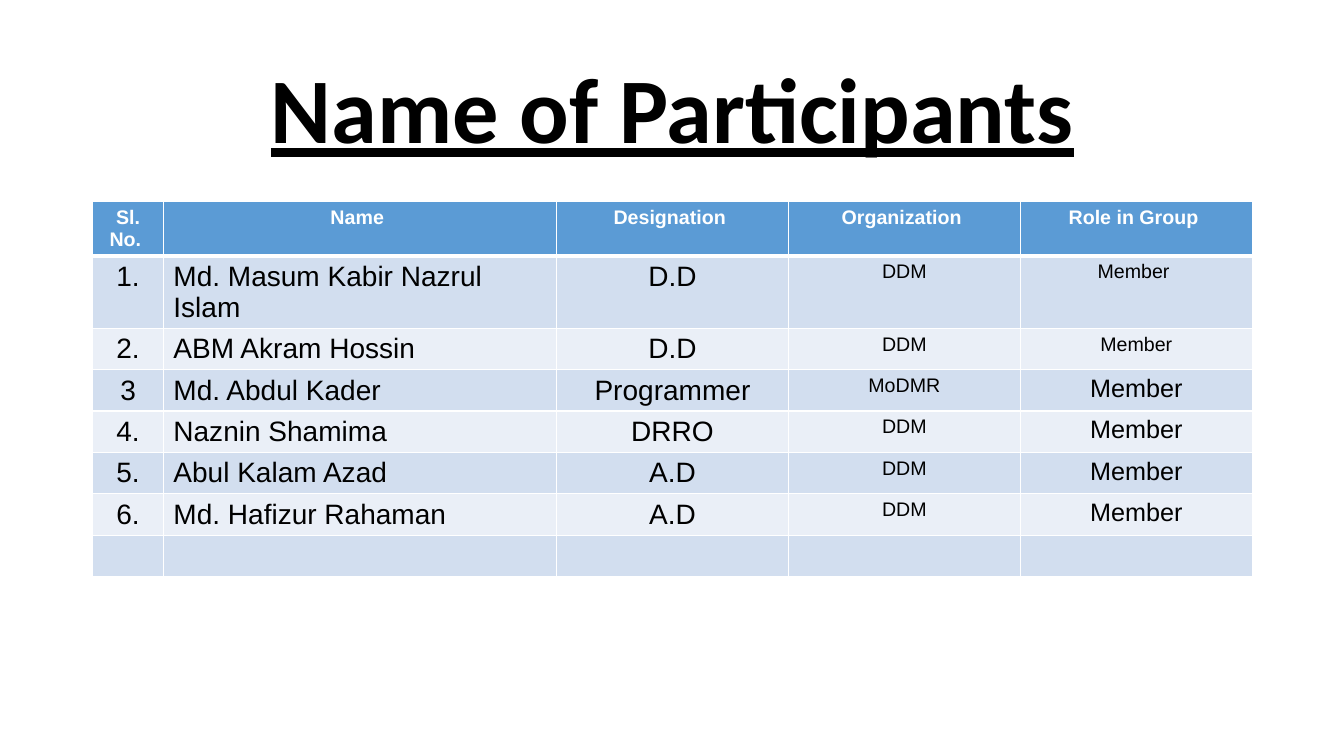
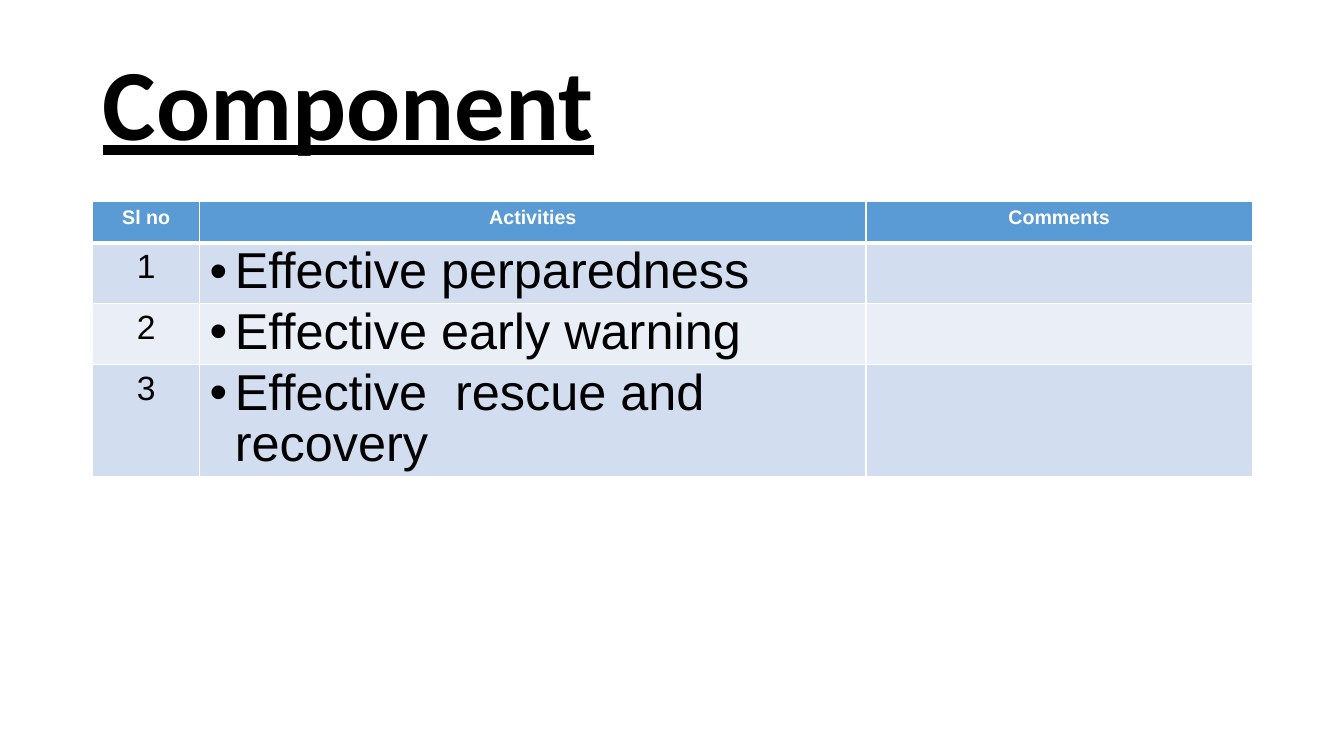
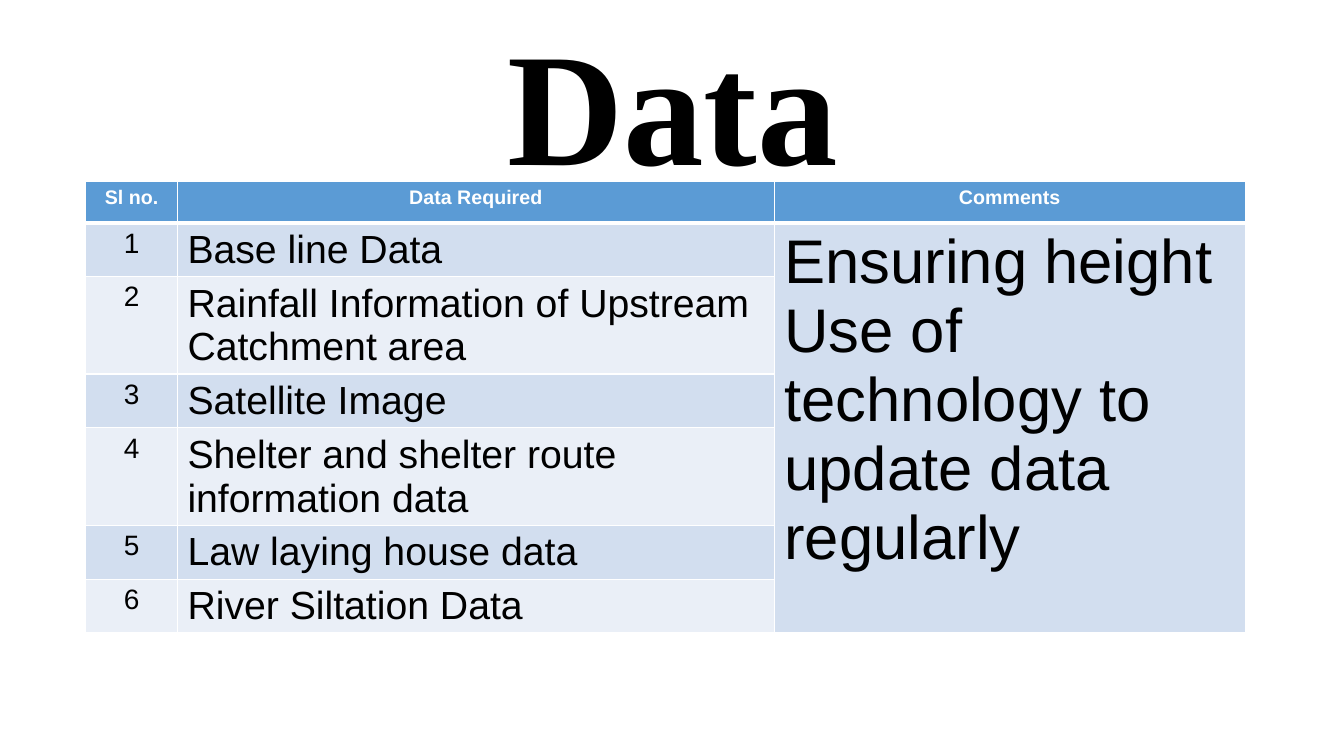
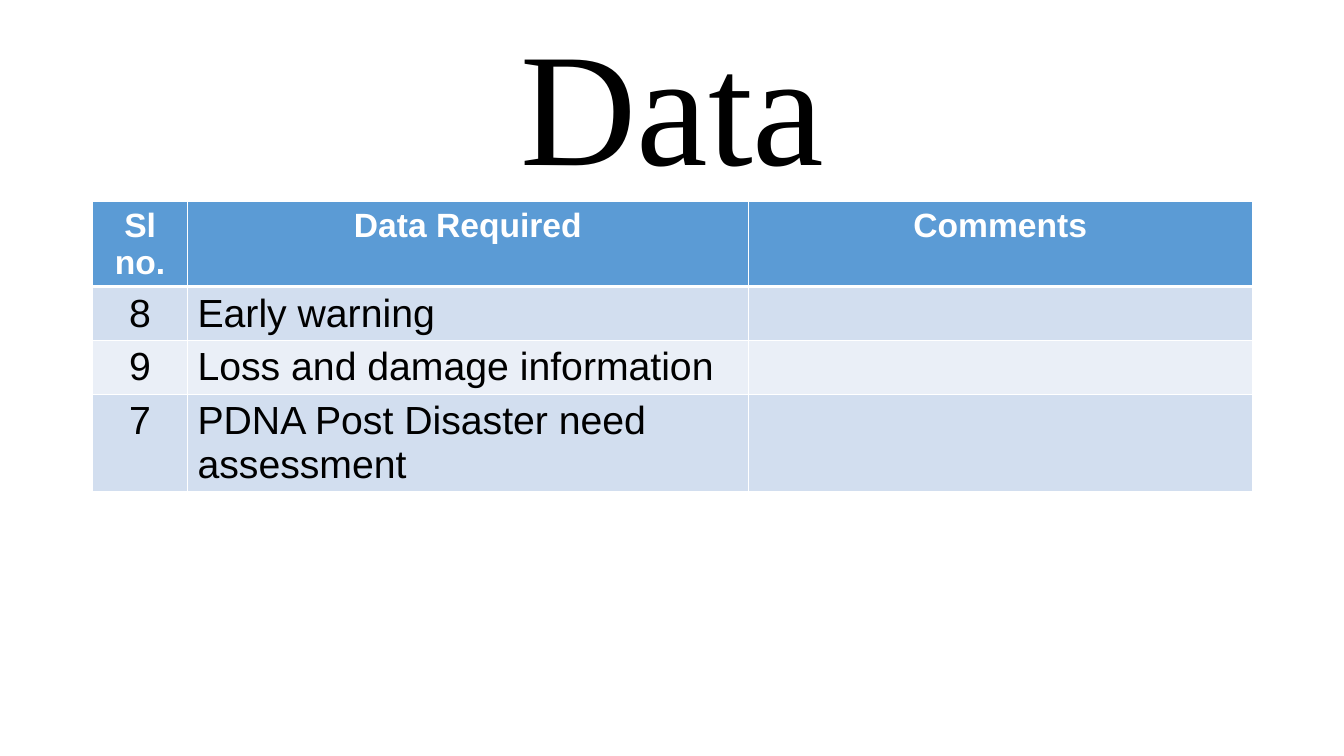
"""Build four slides, each a title above a table."""
import pptx
import pptx.util
import pptx.dml.color
import pptx.enum.text
import pptx.oxml
import pptx.oxml.ns

Inch, Pt = pptx.util.Inches, pptx.util.Pt
Align = pptx.enum.text.PP_ALIGN
COLORS = {"head": "5B9BD5", "odd": "D2DEEF", "even": "EAEFF7", "white": "FFFFFF", "text": "000000"}
FONT = "Arial"
LEFT, WIDE, ROW = 0.92, 11.5, 0.41

SLIDES = [
    {
        "title": "Name of Participants", "size": 66, "font": "Calibri", "bold": True, "line": True,
        "cols": [0.7, 3.9, 2.3, 2.3, 2.3], "sizes": [20, 20, 20, 14, 18], "center": [0, 2, 3, 4],
        "head": ["Sl. No. ", "Name ", "Designation ", "Organization ", "Role in Group "],
        "rows": [
            ["1.", "Md. Masum Kabir Nazrul Islam", "D.D", "DDM", ("Member ", 14)],
            ["2.", "ABM Akram Hossin", "D.D", "DDM", ("Member", 14)],
            ["3", "Md. Abdul Kader", "Programmer", "MoDMR", "Member"],
            ["4.", "Naznin Shamima", "DRRO", "DDM", "Member"],
            ["5.", "Abul Kalam Azad", "A.D", "DDM", "Member"],
            ["6.", "Md. Hafizur Rahaman", "A.D", "DDM", "Member"],
            [""] * 5,
        ],
    },
    {
        "title": "Component", "size": 72, "font": "Calibri", "bold": True, "line": True,
        "align": Align.LEFT, "rise": 0.34,
        "cols": [1.06, 6.61, 3.83], "sizes": [24, 36, 18], "bullet": 1,
        "head": ["Sl no", "Activities", "Comments"],
        "rows": [
            ["1", "Effective perparedness", ""],
            ["2", "Effective early warning", ""],
            ["3", "Effective  rescue and recovery", ""],
        ],
    },
    {
        "title": "Data", "size": 115, "font": "Times New Roman", "bold": True,
        "at": (0.85, 1.8), "cols": [0.91, 5.92, 4.67], "sizes": [20, 28, 44], "span": 2,
        "head": ["Sl no.", "Data Required", "Comments"],
        "rows": [
            ["1", "Base line Data", "Ensuring height Use of technology to update data regularly"],
            ["2", "Rainfall Information of Upstream Catchment area", ""],
            ["3", "Satellite Image", ""],
            ["4", "Shelter and shelter route information data", ""],
            ["5", "Law laying house data", ""],
            ["6", "River Siltation Data", ""],
        ],
    },
    {
        "title": "Data", "size": 115, "font": "Times New Roman", "bold": False,
        "cols": [0.94, 5.56, 5], "sizes": [28, 28, 18], "top": 24,
        "head": ["Sl no.", "Data Required", "Comments"],
        "rows": [
            ["8", "Early warning", ""],
            ["9", "Loss and damage information", ""],
            ["7", "PDNA Post Disaster need assessment", ""],
        ],
    },
]


def paint(name):
    return pptx.dml.color.RGBColor.from_string(COLORS[name])


def write(para, text, size, font, color, bold):
    run = para.add_run()
    run.text = text
    run.font.size, run.font.name, run.font.bold = Pt(size), font, bold
    run.font.color.rgb = paint(color)
    return run


def add_title(slide, data):
    shape = slide.shapes.title
    shape.left, shape.top = Inch(LEFT), Inch(data.get("rise", 0.4))
    shape.width, shape.height = Inch(WIDE), Inch(1.45)
    frame = shape.text_frame
    frame.auto_size = pptx.enum.text.MSO_AUTO_SIZE.NONE
    frame.word_wrap = True
    frame.vertical_anchor = pptx.enum.text.MSO_ANCHOR.MIDDLE
    para = frame.paragraphs[0]
    para.alignment, para.line_spacing = data.get("align", Align.CENTER), 0.9
    run = write(para, data["title"], data["size"], data["font"], "text", data["bold"])
    run.font.underline = data.get("line", False)


def edge(cell, row):
    props = cell._tc.get_or_add_tcPr()
    for side in "LRTB":
        thick = (row, side) in ((0, "B"), (1, "T"))
        props.append(pptx.oxml.parse_xml(
            f'<a:ln{side} {pptx.oxml.ns.nsdecls("a")} w="{Pt(3 if thick else 1)}">'
            f'<a:solidFill><a:srgbClr val="{COLORS["white"]}"/></a:solidFill></a:ln{side}>'))


def add_bullet(para):
    props = para._p.get_or_add_pPr()
    props.set("marL", str(Inch(0.25)))
    props.set("indent", str(-Inch(0.25)))
    for tag in (f'buFont {pptx.oxml.ns.nsdecls("a")} typeface="{FONT}"',
                f'buChar {pptx.oxml.ns.nsdecls("a")} char="•"'):
        props.append(pptx.oxml.parse_xml(f"<a:{tag}/>"))
    para.line_spacing = 0.9


def add_grid(slide, data):
    rows = [data["head"]] + data["rows"]
    left, top = data.get("at", (LEFT, 2))
    table = slide.shapes.add_table(len(rows), len(data["cols"]), Inch(left), Inch(top),
                                   Inch(WIDE), Inch(ROW * len(rows))).table
    table.horz_banding = False
    for col, width in zip(table.columns, data["cols"]):
        col.width = Inch(width)
    for r, items in enumerate(rows):
        table.rows[r].height = Inch(ROW)
        for c, item in enumerate(items):
            cell = table.cell(r, c)
            edge(cell, r)
            cell.fill.solid()
            cell.fill.fore_color.rgb = paint("head" if r == 0 else "odd" if r % 2 else "even")
            text, size = item if isinstance(item, tuple) else (item, data["sizes"][c])
            if not text:
                continue
            para = cell.text_frame.paragraphs[0]
            if r and c == data.get("bullet"):
                add_bullet(para)
            if r == 0 or c in data.get("center", [0]):
                para.alignment = Align.CENTER
            if r == 0:
                write(para, text, data.get("top", 14), FONT, "white", True)
            else:
                write(para, text, size, FONT, "text", False)
    if "span" in data:
        table.cell(1, data["span"]).merge(table.cell(len(rows) - 1, data["span"]))


def main():
    deck = pptx.Presentation()
    deck.slide_width, deck.slide_height = Inch(13.33), Inch(7.5)
    for data in SLIDES:
        slide = deck.slides.add_slide(deck.slide_layouts[5])
        add_title(slide, data)
        add_grid(slide, data)
    deck.save("out.pptx")


if __name__ == "__main__":
    main()
